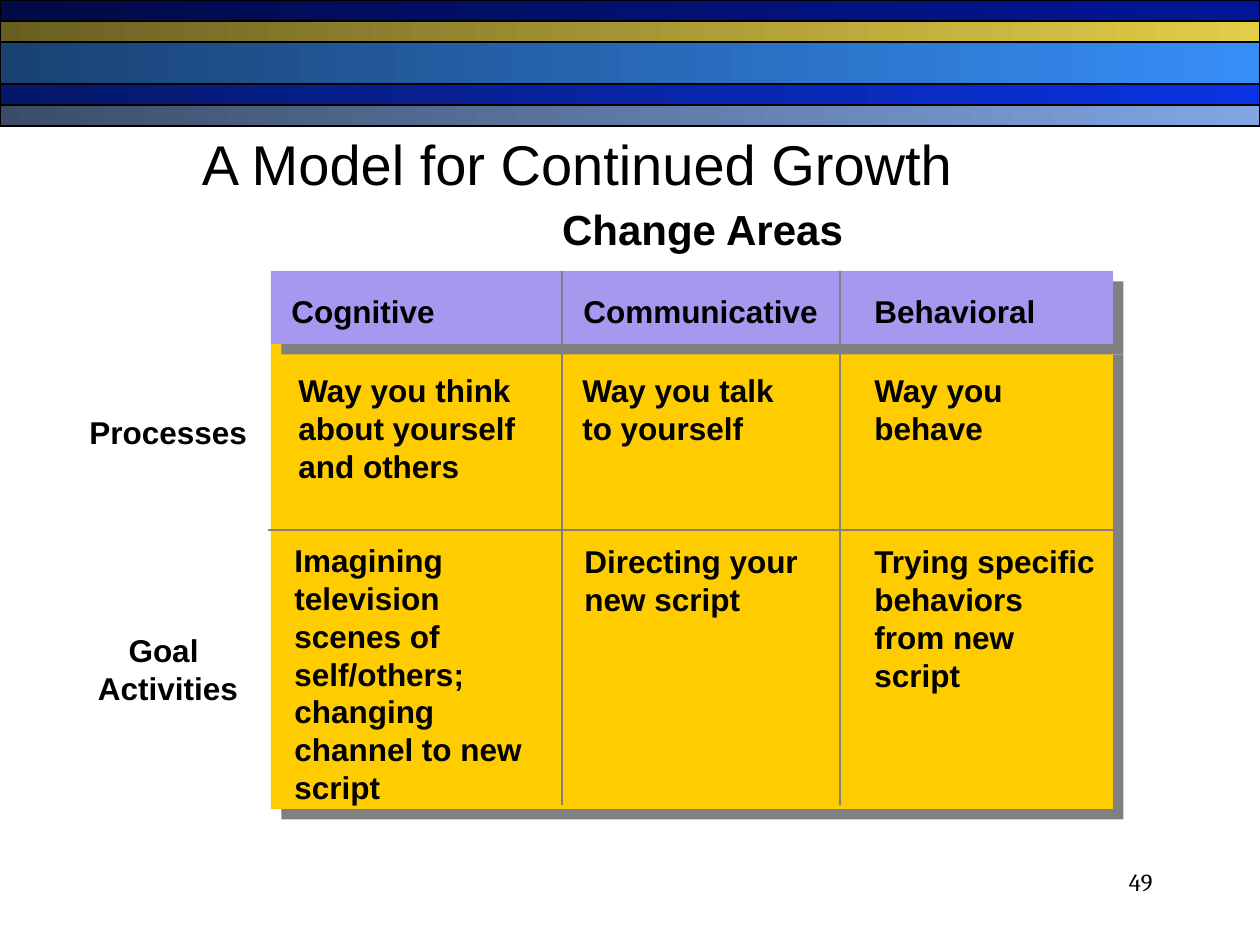
"""Build the slide on a model for continued growth."""
from lxml import etree
from pptx import Presentation
from pptx.dml.color import RGBColor
from pptx.enum.shapes import MSO_CONNECTOR, MSO_SHAPE
from pptx.enum.text import MSO_ANCHOR, PP_ALIGN
from pptx.oxml.ns import qn
from pptx.util import Pt

LEFT, CENTER, RIGHT = PP_ALIGN.LEFT, PP_ALIGN.CENTER, PP_ALIGN.RIGHT
TOP, MIDDLE = MSO_ANCHOR.TOP, MSO_ANCHOR.MIDDLE
RECTANGLE = MSO_SHAPE.RECTANGLE
STRAIGHT = MSO_CONNECTOR.STRAIGHT
EMU_PER_PX = 914400 / 126
COLORS = {
    "text": "000000",
    "body": "FFCC00",
    "header": "A599EF",
    "gray": "808080",
    "navy": ("010A46", "021699"),
    "gold": ("685E22", "E3CD49"),
    "sky": ("194172", "378EF8"),
    "blue": ("051768", "0A33E3"),
    "steel": ("3B4C68", "80A6E3"),
}


def px(length):
    return round(length * EMU_PER_PX)


def rgb(value):
    return RGBColor.from_string(value)


class SlideBuilder:
    def __init__(self, slide):
        self.slide = slide
        self.font = {"name": "Arial", "size": Pt(18), "bold": True}

    def rectangle(self, left, top, width, height):
        shape = self.slide.shapes.add_shape(RECTANGLE, *map(px, (left, top, width, height)))
        shape.shadow.inherit = False
        return shape

    def band(self, top, height, color):
        shape = self.rectangle(0, top, 1260, height)
        shape.fill.gradient()
        shape.fill.gradient_angle = 0
        for stop, value in zip(shape.fill.gradient_stops, COLORS[color]):
            stop.color.rgb = rgb(value)
        shape.line.color.rgb = rgb(COLORS["text"])
        shape.line.width = Pt(0.75)

    def panel(self, left, top, width, height, color):
        shape = self.rectangle(left, top, width, height)
        shape.fill.solid()
        shape.fill.fore_color.rgb = rgb(COLORS[color])
        shape.line.fill.background()
        effects = shape._element.spPr.find(qn("a:effectLst"))
        shadow = etree.SubElement(effects, qn("a:outerShdw"), dist=str(Pt(8.5)),
                                  dir="2700000", algn="ctr", rotWithShape="0")
        etree.SubElement(shadow, qn("a:srgbClr"), val=COLORS["gray"])

    def text(self, left, top, width, height, content, align=LEFT, anchor=TOP, tabs=(), **font):
        shape = self.slide.shapes.add_textbox(*map(px, (left, top, width, height)))
        frame = shape.text_frame
        frame.word_wrap = True
        frame.vertical_anchor = anchor
        frame.text = content
        paragraph = frame.paragraphs[0]
        paragraph.alignment = align
        if tabs:
            tab_list = etree.SubElement(paragraph._p.get_or_add_pPr(), qn("a:tabLst"))
            for position in tabs:
                etree.SubElement(tab_list, qn("a:tab"), pos=str(px(position)), algn="l")
        for run in paragraph.runs:
            for name, value in {**self.font, **font}.items():
                setattr(run.font, name, value)
            run.font.color.rgb = rgb(COLORS["text"])

    def line(self, x1, y1, x2, y2):
        connector = self.slide.shapes.add_connector(STRAIGHT, *map(px, (x1, y1, x2, y2)))
        connector.line.color.rgb = rgb(COLORS["gray"])
        connector.line.width = Pt(1)
        etree.SubElement(connector._element.spPr, qn("a:effectLst"))


def main():
    presentation = Presentation()
    presentation.slide_width, presentation.slide_height = px(1260), px(945)
    builder = SlideBuilder(presentation.slides.add_slide(presentation.slide_layouts[6]))

    top = 0
    for color, height in (("navy", 21), ("gold", 21), ("sky", 42), ("blue", 21), ("steel", 21)):
        builder.band(top, height, color)
        top += height

    builder.panel(271, 344, 842, 465, "body")
    builder.panel(271, 271, 842, 73, "header")
    builder.text(42, 84, 1071, 158, "A Model for Continued Growth", CENTER, MIDDLE,
                 size=Pt(32), bold=False)
    builder.text(528, 197, 349, 63, "Change Areas", CENTER, size=Pt(24))
    builder.text(271, 286, 842, 50, "\tCognitive\tCommunicative\tBehavioral", tabs=(8, 300, 591))

    cells = (
        (286, 365, 243, 126, "Way you think about yourself and others"),
        (570, 365, 249, 145, "Way you talk to yourself"),
        (862, 365, 226, 88, "Way you behave"),
        (282, 535, 277, 277, "Imagining television scenes of self/others; "
                             "changing channel to new script"),
        (572, 536, 257, 88, "Directing your new script"),
        (862, 536, 249, 220, "Trying specific behaviors from new script"),
        (77, 407, 209, 50, "Processes"),
    )
    for cell in cells:
        builder.text(*cell)
    builder.text(79, 625, 178, 88, "Goal \vActivities", CENTER)

    for x in (562, 840):
        builder.line(x, 271, x, 805)
    builder.line(268, 530, 1113, 530)
    builder.text(903, 861, 262, 63, "49", RIGHT, name="Cambria", size=Pt(14), bold=False)
    presentation.save("out.pptx")


if __name__ == "__main__":
    main()
